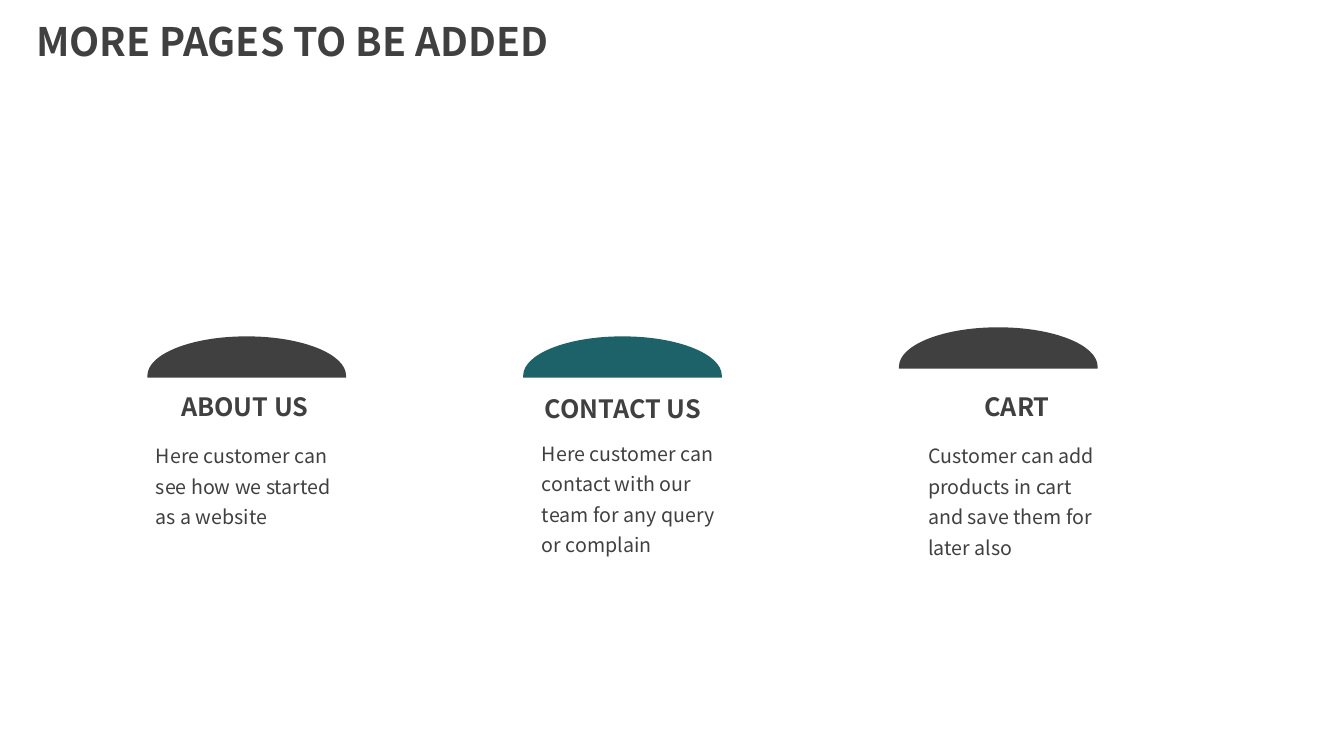
"""Build the slide that lists the pages still to be added."""
from dataclasses import dataclass

from pptx import Presentation
from pptx.dml.color import RGBColor as Rgb
from pptx.enum.text import MSO_AUTO_SIZE as Fit, PP_ALIGN as Align
from pptx.oxml import parse_xml as to_xml
from pptx.oxml.ns import nsdecls as spaces
from pptx.util import Inches, Pt

WIDE, HIGH = Inches(13.33), Inches(7.5)
HUES = {"ink": "404040", "teal": "1D6269"}
FACE = "Noto Sans CJK SC"
FORMS = {
    "title": {"size": Pt(28), "bold": True},
    "head": {"size": Pt(18), "bold": True},
    "body": {"size": Pt(14), "bold": False},
}
LAYOUT = {
    "title": {"line_spacing": 0.9, "alignment": Align.LEFT},
    "head": {"line_spacing": 0.9, "alignment": Align.CENTER},
    "body": {"line_spacing": 1.3, "alignment": Align.LEFT},
}
RIM = [(49.7, 0), (50.3, 0), (100, 95), (100, 100), (0, 100), (0, 95), (49.7, 0)]
BENDS = {1: [(77.6, 0), (100, 42.5), (100, 95)],
         5: [(0, 42.5), (22.4, 0), (49.7, 0)]}


@dataclass
class Box:
    """Left, top, width and height in percent of the slide."""
    left: float
    top: float
    width: float
    height: float

    def place(self) -> tuple[int, int, int, int]:
        """Return the box in slide units."""
        return (round(self.left * WIDE / 100), round(self.top * HIGH / 100),
                round(self.width * WIDE / 100), round(self.height * HIGH / 100))


@dataclass
class Page:
    """One page to be added, with its dome, heading and text."""
    head: str
    lines: list[str]
    hue: str
    dome_top: float
    head_top: float
    body_top: float
    body_high: float
    shift: float = 0


PAGES = [
    Page("ABOUT US", ["Here customer can see how we started as a website"],
         "ink", 44.5, 51.6, 57.18, 21.73),
    Page("CONTACT US",
         ["Here customer can", "contact with our team for any query or complain"],
         "teal", 44.5, 51.87, 56.83, 17.6, -0.6),
    Page("CART",
         ["Customer can add", "products in cart", "and save them for later also"],
         "ink", 43.3, 51.6, 57.18, 21.73),
]


def add_text(shapes, box: Box, lines: list[str], kind: str) -> None:
    """Add a text box with one paragraph per line."""
    frame = shapes.add_textbox(*box.place()).text_frame
    frame.word_wrap = True
    frame.auto_size = Fit.SHAPE_TO_FIT_TEXT
    frame.text = "\n".join(lines)
    for para in frame.paragraphs:
        for name, value in LAYOUT[kind].items():
            setattr(para, name, value)
        font = para.runs[0].font
        for name, value in {"name": FACE, **FORMS[kind]}.items():
            setattr(font, name, value)
        font.color.rgb = Rgb.from_string(HUES["ink"])


def add_dome(shapes, box: Box, hue: str) -> None:
    """Add a dome with two curved shoulders on a straight base."""
    left, top, width, height = box.place()
    rim = [(left + x * width / 100, top + y * height / 100) for x, y in RIM]
    pen = shapes.build_freeform(*rim[0])
    pen.add_line_segments(rim[1:], close=True)
    dome = pen.convert_to_shape()
    sides = dome.element.xpath(".//a:lnTo")
    for spot, bend in BENDS.items():
        marks = "".join(
            f'<a:pt x="{round(x * width / 100)}" y="{round(y * height / 100)}"/>'
            for x, y in bend)
        curve = to_xml(f'<a:cubicBezTo {spaces("a")}>{marks}</a:cubicBezTo>')
        sides[spot].getparent().replace(sides[spot], curve)
    dome.shadow.inherit = False
    dome.fill.solid()
    dome.fill.fore_color.rgb = Rgb.from_string(HUES[hue])
    dome.line.fill.background()


def main() -> None:
    """Draw the three pages and the title, then save."""
    deck = Presentation()
    deck.slide_width, deck.slide_height = WIDE, HIGH
    shapes = deck.slides.add_slide(deck.slide_layouts[6]).shapes
    for col, page in enumerate(PAGES):
        left = 10.86 + 28.73 * col
        group = shapes.add_group_shape().shapes
        add_text(group, Box(left + page.shift, page.head_top, 14.7, 4.93),
                 [page.head], "head")
        add_text(group, Box(left, page.body_top, 14.7, page.body_high),
                 page.lines, "body")
    for col, page in enumerate(PAGES):
        add_dome(shapes, Box(10.97 + 27.96 * col, page.dome_top, 14.78, 5.47), page.hue)
    add_text(shapes, Box(1.95, 2.4, 56.71, 6.93), ["MORE PAGES TO BE ADDED"], "title")
    deck.save("out.pptx")


if __name__ == "__main__":
    main()
